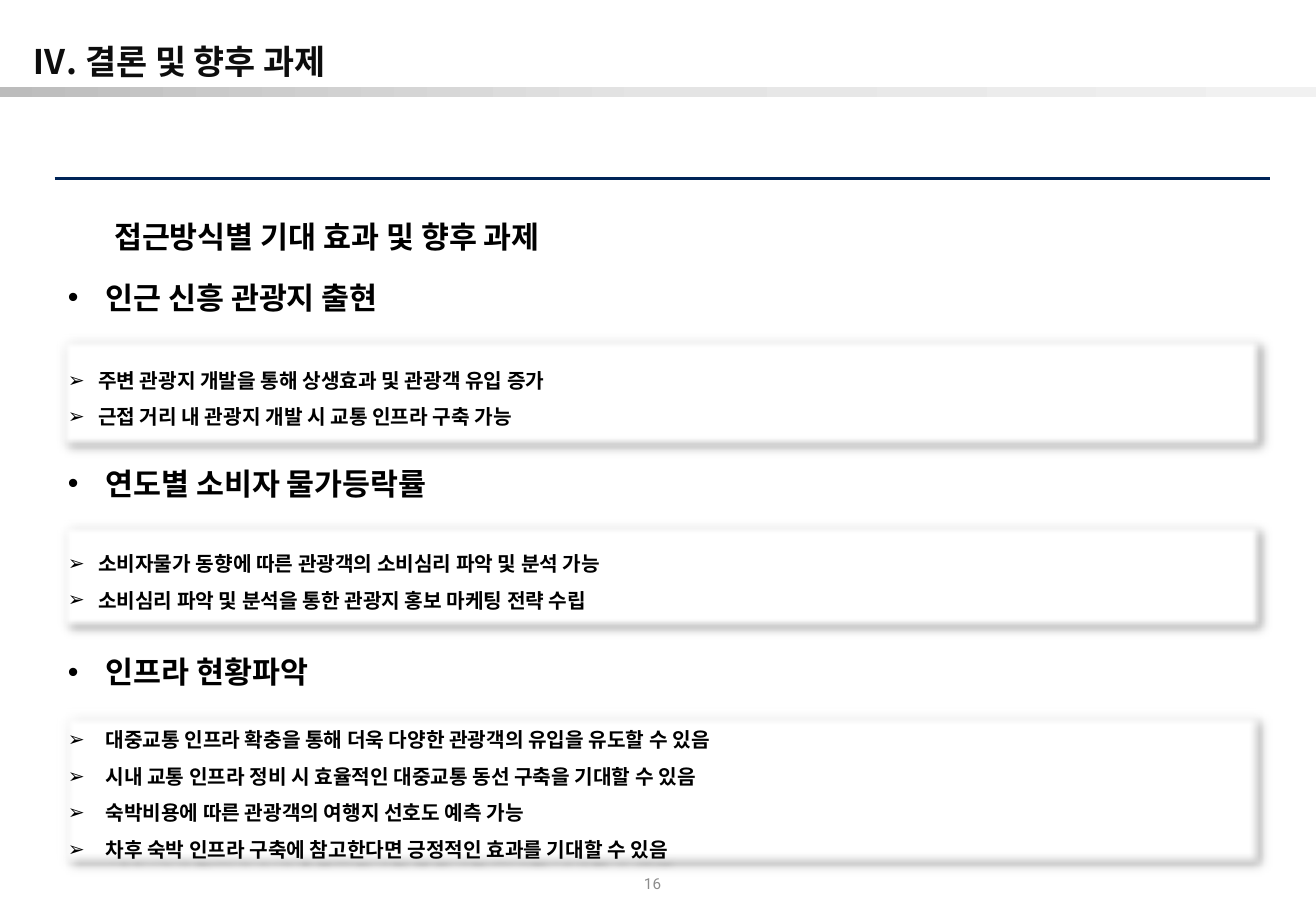
"""Builds the conclusion slide with three findings and their future tasks."""
from copy import deepcopy
from lxml.etree import SubElement
from pptx import Presentation
from pptx.dml.color import RGBColor
from pptx.enum.shapes import MSO_CONNECTOR as CONN, MSO_SHAPE as SHAPE
from pptx.enum.text import MSO_ANCHOR as ANCHOR, MSO_AUTO_SIZE as AUTO, PP_ALIGN as ALIGN
from pptx.oxml import parse_xml
from pptx.oxml.ns import nsdecls, qn
from pptx.util import Inches, Pt

BLACK = RGBColor(0, 0, 0)
WHITE = RGBColor(0xFF, 0xFF, 0xFF)
TITLE = RGBColor(0x0D, 0x0D, 0x0D)
GREY = RGBColor(0x8C, 0x8C, 0x8C)
NAVY = RGBColor(0x00, 0x24, 0x58)
BORDER = RGBColor(0x26, 0x2F, 0x3B)
BAND = [RGBColor(0xBC, 0xBC, 0xBC), RGBColor(0xE4, 0xE4, 0xE4), RGBColor(0xF1, 0xF1, 0xF1)]
KOREAN = "Noto Sans CJK KR"
EFFECTS = (
    f'<a:effectLst {nsdecls("a")}>'
    '<a:outerShdw blurRad="50800" dist="38100" dir="2700000" algn="tl" rotWithShape="0">'
    '<a:srgbClr val="000000"><a:alpha val="40000"/></a:srgbClr></a:outerShdw>'
    '<a:softEdge rad="63500"/></a:effectLst>'
)


def add_text(p, text, size, color=BLACK, font=KOREAN, bold=True):
    r = p.add_run()
    r.text = text
    r.font.size, r.font.bold, r.font.name = Pt(size), bold, font
    r.font.color.rgb = color
    SubElement(r.font._element, qn("a:ea"), typeface=font)


def add_bullet(p, char, indent):
    pPr = p._p.get_or_add_pPr()
    pPr.set("marL", str(Inches(indent)))
    pPr.set("indent", str(-Inches(indent)))
    SubElement(pPr, qn("a:buFont"), typeface="Arial")
    SubElement(pPr, qn("a:buChar"), char=char)


prs = Presentation()
prs.slide_width, prs.slide_height = Inches(10.83), Inches(7.5)
s = prs.slides.add_slide(prs.slide_layouts[5])

band = s.shapes.add_shape(SHAPE.RECTANGLE, Inches(-0.01), Inches(0.72), Inches(10.84), Inches(0.08))
band.shadow.inherit = False
band.line.fill.background()
band.fill.gradient()
band.fill.gradient_angle = 0
gsLst = band.fill._xPr.find(qn("a:gradFill")).find(qn("a:gsLst"))
gsLst.insert(1, deepcopy(gsLst[0]))
for i, (stop, color) in enumerate(zip(band.fill.gradient_stops, BAND)):
    stop.position = i / 2
    stop.color.rgb = color

rule = s.shapes.add_connector(CONN.STRAIGHT, Inches(0.45), Inches(1.47), Inches(10.45), Inches(1.47))
rule.line.color.rgb = NAVY
rule.line.width = Pt(1.75)
SubElement(rule._element.spPr, qn("a:effectLst"))

title = s.shapes.title
title.left, title.top, title.width, title.height = Inches(-0.01), Inches(0.16), Inches(10.83), Inches(0.52)
tf = title.text_frame
tf.auto_size, tf.vertical_anchor = AUTO.NONE, ANCHOR.MIDDLE
tf.margin_left = Inches(0.28)
tf.margin_top = tf.margin_right = tf.margin_bottom = 0
p = tf.paragraphs[0]
p.alignment, p.line_spacing, p.space_after = ALIGN.LEFT, 1.5, Pt(7.3)
add_text(p, "Ⅳ. 결론 및 향후 과제", 20, TITLE)

sections = [
    (2.25, "인근 신흥 관광지 출현", 2.74, 0.98, 1, 0.25, [
        "주변 관광지 개발을 통해 상생효과 및 관광객 유입 증가",
        "근접 거리 내 관광지 개발 시 교통 인프라 구축 가능"]),
    (3.78, "연도별 소비자 물가등락률", 4.27, 0.94, 0.75, 0.25, [
        "소비자물가 동향에 따른 관광객의 소비심리 파악 및 분석 가능",
        "소비심리 파악 및 분석을 통한 관광지 홍보 마케팅 전략 수립"]),
    (5.33, "인프라 현황파악", 5.82, 1.34, 0.75, 0.31, [
        "대중교통 인프라 확충을 통해 더욱 다양한 관광객의 유입을 유도할 수 있음",
        "시내 교통 인프라 정비 시 효율적인 대중교통 동선 구축을 기대할 수 있음",
        "숙박비용에 따른 관광객의 여행지 선호도 예측 가능",
        "차후 숙박 인프라 구축에 참고한다면 긍정적인 효과를 기대할 수 있음"]),
]

for top, heading, box_top, height, border, indent, points in sections:
    box = s.shapes.add_shape(SHAPE.RECTANGLE, Inches(0.46), Inches(box_top), Inches(9.96), Inches(height))
    box.fill.solid()
    box.fill.fore_color.rgb = WHITE
    box.line.color.rgb = BORDER
    box.line.width = Pt(border)
    box._element.spPr.append(parse_xml(EFFECTS))
    tf = box.text_frame
    tf.word_wrap, tf.vertical_anchor = True, ANCHOR.MIDDLE
    for i, point in enumerate(points):
        p = tf.add_paragraph() if i else tf.paragraphs[0]
        p.alignment, p.line_spacing = ALIGN.JUSTIFY, 1.5
        add_bullet(p, "➢", indent)
        add_text(p, point, 12)

headings = [(0.84, 1.75, "접근방식별 기대 효과 및 향후 과제", False)]
headings += [(0.46, top, heading, True) for top, heading, *_ in sections]
for left, top, heading, bulleted in headings:
    tf = s.shapes.add_textbox(Inches(left), Inches(top), Inches(7.62), Inches(0.4)).text_frame
    tf.word_wrap, tf.auto_size = True, AUTO.SHAPE_TO_FIT_TEXT
    p = tf.paragraphs[0]
    if bulleted:
        add_bullet(p, "•", 0.31)
    add_text(p, heading, 18)

tf = s.shapes.add_textbox(Inches(5.25), Inches(7.2), Inches(0.19), Inches(0.2)).text_frame
tf.word_wrap, tf.auto_size, tf.vertical_anchor = False, AUTO.SHAPE_TO_FIT_TEXT, ANCHOR.MIDDLE
tf.margin_left = tf.margin_top = tf.margin_right = 0
tf.margin_bottom = Inches(0.05)
p = tf.paragraphs[0]
p.alignment = ALIGN.RIGHT
add_text(p, "16", 9, GREY, "Roboto", False)

prs.save("out.pptx")
